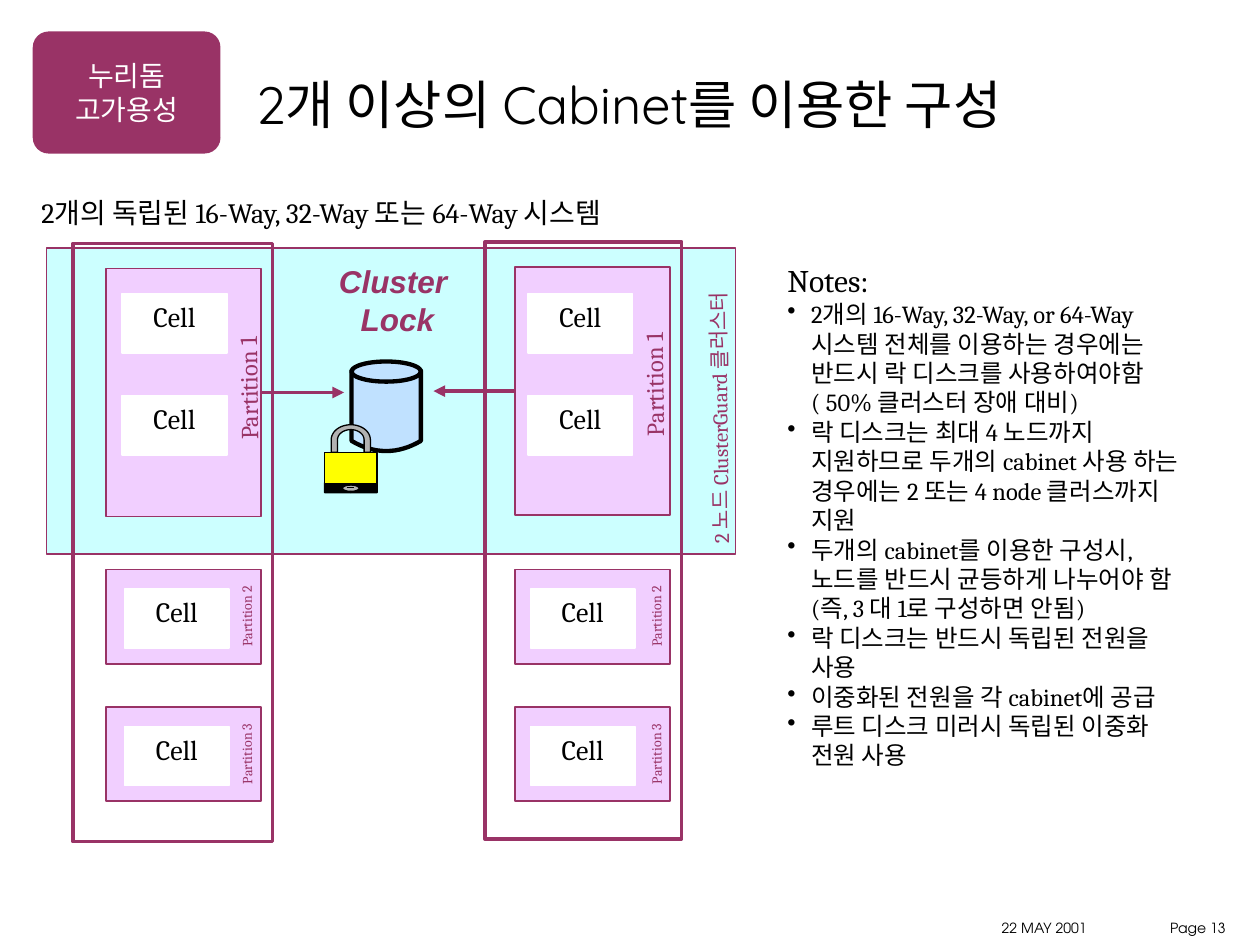
from math import cos, pi, sin

from lxml.etree import SubElement
from pptx import Presentation
from pptx.dml.color import RGBColor
from pptx.enum.shapes import MSO_CONNECTOR, MSO_SHAPE
from pptx.enum.text import MSO_ANCHOR, MSO_AUTO_SIZE, PP_ALIGN
from pptx.oxml.ns import qn
from pptx.util import Pt

THEME = {
    "plum": "993366", "lilac": "F1CFFF", "aqua": "CCFFFF", "sky": "C0E1FF",
    "gray": "B2B2B2", "yellow": "FFFF00", "black": "000000", "white": "FFFFFF",
    "head": "Quicksand", "body": "Cambria", "lock": "Arial", "foot": "TeX Gyre Adventor",
    "title": 30, "large": 18, "medium": 16, "normal": 14, "label": 12, "small": 8,
}

TITLE = "2개 이상의 Cabinet를 이용한 구성"
BADGE = "누리돔 고가용성"
SUBTITLE = "2개의 독립된 16-Way, 32-Way 또는 64-Way 시스템"
CLUSTER = "2 노드 ClusterGuard 클러스터"
NOTES = [
    "2개의 16-Way, 32-Way, or 64-Way 시스템 전체를 이용하는 경우에는 반드시 락 디스크를 사용하여야함 ( 50% 클러스터 장애 대비)",
    "락 디스크는 최대 4 노드까지 지원하므로 두개의 cabinet 사용 하는 경우에는 2 또는 4 node 클러스까지 지원",
    "두개의 cabinet를 이용한 구성시, 노드를 반드시 균등하게 나누어야 함(즉, 3 대 1로 구성하면 안됨)",
    "락 디스크는 반드시 독립된 전원을 사용",
    "이중화된 전원을 각 cabinet에 공급",
    "루트 디스크 미러시 독립된 이중화 전원 사용",
]
CABINETS = [
    {"frame": (41.8, 139, 113.8, 342), "x": 60.5, "top": 153.4, "cell_x": 69.8,
     "main_label": (141.8, 211), "label_x": 145.8, "label_w": 95, "side": 3, "tip": 196.6},
    {"frame": (277.2, 138.2, 112.3, 341.3), "x": 294.5, "top": 152.6, "cell_x": 301.7,
     "main_label": (373.7, 206.6), "label_x": 379.8, "label_w": 99.4, "side": 1, "tip": 247.7},
]
PARTITION_W, MAIN_H, SMALL_H = 88.6, 141.8, 54
MAIN_CELLS = [167.8, 226.1]
SMALL_PARTITIONS = [("Partition 2", 325.4), ("Partition 3", 403.9)]
CELL_W, CELL_H = 59.8, 33.8


def color(name):
    return RGBColor.from_string(THEME[name])


def paint(sp, fill=None, line=None, width=1):
    sp.shadow.inherit = False
    if fill:
        sp.fill.solid()
        sp.fill.fore_color.rgb = color(fill)
    else:
        sp.fill.background()
    if line:
        sp.line.color.rgb = color(line)
        sp.line.width = Pt(width)
    else:
        sp.line.fill.background()
    return sp


def block(shapes, kind, box, fill=None, line=None, width=1):
    return paint(shapes.add_shape(kind, *map(Pt, box)), fill, line, width)


def outline(shapes, points, fill, line, width):
    pts = [(Pt(x), Pt(y)) for x, y in points]
    fb = shapes.build_freeform(*pts[0], scale=1.0)
    fb.add_line_segments(pts[1:], close=True)
    return paint(fb.convert_to_shape(), fill, line, width)


def arc(cx, cy, rx, ry, start, end, steps=24):
    angles = [start + (end - start) * i / steps for i in range(steps + 1)]
    return [(cx + rx * cos(a), cy - ry * sin(a)) for a in angles]


def style(p, size, font, ink, align=PP_ALIGN.LEFT, **extra):
    p.alignment = align
    for r in p.runs:
        formats = {"size": Pt(THEME[size]), "name": THEME[font], "bold": False, **extra}
        for key, value in formats.items():
            setattr(r.font, key, value)
        r.font.color.rgb = color(ink)


def frame_text(sp, insets=(7.2, 3.6, 7.2, 3.6), anchor=MSO_ANCHOR.TOP, wrap=True):
    tf = sp.text_frame
    formats = {"auto_size": MSO_AUTO_SIZE.NONE, "word_wrap": wrap, "vertical_anchor": anchor}
    sides = ("margin_left", "margin_top", "margin_right", "margin_bottom")
    formats.update(zip(sides, map(Pt, insets)))
    for key, value in formats.items():
        setattr(tf, key, value)
    return tf


def write(sp, text, look, **layout):
    p = frame_text(sp, **layout).paragraphs[0]
    p.text = text
    style(p, *look)
    return p


def vertical_label(shapes, text, size, cx, cy, w, h):
    sp = shapes.add_textbox(*map(Pt, (cx - w / 2, cy - h / 2, w, h)))
    sp.rotation = 269.3
    write(sp, text, (size, "body", "plum"))


def connector(shapes, start, end, ink, width, arrow=False):
    c = shapes.add_connector(MSO_CONNECTOR.STRAIGHT, *map(Pt, (*start, *end)))
    c.line.color.rgb = color(ink)
    c.line.width = Pt(width)
    props = c.element.spPr
    if arrow:
        SubElement(props.find(qn("a:ln")), qn("a:tailEnd"), type="triangle")
    SubElement(props, qn("a:effectLst"))
    return c


def cell(shapes, x, y):
    sp = block(shapes, MSO_SHAPE.RECTANGLE, (x, y, CELL_W, CELL_H), "white", "white")
    write(sp, "Cell", ("medium", "body", "black", PP_ALIGN.CENTER),
          insets=(7.2, 3.6, 7.2, 11.6), anchor=MSO_ANCHOR.MIDDLE, wrap=False)


def cabinet(shapes, cab):
    rect = MSO_SHAPE.RECTANGLE
    block(shapes, rect, cab["frame"], None, "plum", 2)
    main = block(shapes, rect, (cab["x"], cab["top"], PARTITION_W, MAIN_H), "lilac", "plum")
    vertical_label(shapes, "Partition 1", "normal", *cab["main_label"], cab["label_w"], 24.5)
    for y in MAIN_CELLS:
        cell(shapes, cab["cell_x"], y)
    for name, y in SMALL_PARTITIONS:
        block(shapes, rect, (cab["x"], y, PARTITION_W, SMALL_H), "lilac", "plum")
        vertical_label(shapes, name, "small", cab["label_x"], y + 25.6, 51.1, 26.6)
        cell(shapes, cab["cell_x"] + 1.4, y + 11.2)
    mid = cab["top"] + MAIN_H / 2
    edge = cab["x"] + (PARTITION_W if cab["side"] == 3 else 0)
    c = connector(shapes, (edge, mid), (cab["tip"], mid), "plum", 2.25, arrow=True)
    c.begin_connect(main, cab["side"])


def lock_disk(shapes):
    left, top, w, low = 200.9, 211.7, 39.6, 252
    us = [i / 8 for i in range(-8, 9)]
    curve = [(left + w / 2 * (1 + u), low + 5.8 * (1 - u * u)) for u in us]
    outline(shapes, [(left, top), *curve, (left + w, top)], "sky", "black", 2.47)
    block(shapes, MSO_SHAPE.OVAL, (left, 206.6, w, 11.5), "sky", "black", 2.47)
    sp = shapes.add_textbox(*map(Pt, (186.5, 146.2, 76.3, 50.4)))
    p = write(sp, "Cluster\v Lock", ("large", "lock", "plum", PP_ALIGN.CENTER),
              anchor=MSO_ANCHOR.MIDDLE, wrap=False)
    style(p, "large", "lock", "plum", PP_ALIGN.CENTER, bold=True, italic=True)


def padlock(shapes):
    cx, half, base = 200.5, 15, 258.5
    outer = arc(cx, 251.3, 11.2, 8.6, 0, pi)
    inner = arc(cx, 251.3, 7.6, 5.8, pi, 0)
    shackle = [(cx + 11.2, base), *outer, (cx - 11.2, base),
               (cx - 7.6, base), *inner, (cx + 7.6, base)]
    outline(shapes, shackle, "gray", "black", 0.75)
    block(shapes, MSO_SHAPE.RECTANGLE, (cx - 5.4, 276.5, 10.8, 4.3), "gray", "gray", 0.75)
    for side in (-1, 1):
        edge = cx + side * half
        hole = arc(cx, 279, side * 4.7, 1.8, pi / 2, -pi / 2)
        plate = [(cx, 275.8), *hole, (cx, 281.5), (edge, 281.5), (edge, 275.8)]
        outline(shapes, plate, "black", "black", 0.75)
    block(shapes, MSO_SHAPE.RECTANGLE, (cx - half, base, 2 * half, 18), "yellow", "black", 0.75)
    connector(shapes, (198, 278.6), (202.3, 278.6), "black", 0.75)


def notes(shapes):
    sp = shapes.add_textbox(*map(Pt, (442.8, 136.1, 247.7, 334.1)))
    tf = frame_text(sp, (7.2, 3.6, 7.2, 20.5), MSO_ANCHOR.MIDDLE)
    for i, text in enumerate(["Notes:", *NOTES]):
        p = tf.add_paragraph() if i else tf.paragraphs[0]
        p.text = text
        style(p, "normal" if i else "large", "body", "black")
        props = p._p.get_or_add_pPr()
        props.set("marL", str(Pt(13.7)))
        props.set("indent", str(-Pt(13.7)))
        if i:
            SubElement(SubElement(props, qn("a:buClr")), qn("a:srgbClr"), val=THEME["black"])
            SubElement(props, qn("a:buChar"), char="•")


def main():
    prs = Presentation()
    prs.slide_width, prs.slide_height = Pt(720), Pt(540)
    s = prs.slides.add_slide(prs.slide_layouts[5])
    shapes = s.shapes
    title = shapes.title
    title.left, title.top, title.width, title.height = map(Pt, (124.6, 41, 469.4, 48.2))
    write(title, TITLE, ("title", "head", "black", PP_ALIGN.CENTER), insets=(0, 0, 0, 0))
    badge = block(shapes, MSO_SHAPE.ROUNDED_RECTANGLE, (18.7, 18, 107.3, 69.8), "plum")
    badge.adjustments[0] = 0.13
    write(badge, BADGE, ("medium", "head", "white", PP_ALIGN.CENTER), anchor=MSO_ANCHOR.MIDDLE)
    texts = [
        (SUBTITLE, (16.6, 108, 385.2, 26.6), ("medium", "body", "black"), {"wrap": False}),
        ("22 MAY 2001", (572.4, 525.6, 72.7, 9.4), ("small", "foot", "black"),
         {"insets": (0, 0, 0, 0), "anchor": MSO_ANCHOR.MIDDLE}),
        ("Page 13", (660.2, 525.6, 40.3, 11.5), ("small", "foot", "black", PP_ALIGN.RIGHT),
         {"insets": (0, 0, 0, 0)}),
    ]
    for text, box, look, layout in texts:
        write(shapes.add_textbox(*map(Pt, box)), text, look, **layout)
    block(shapes, MSO_SHAPE.RECTANGLE, (26.6, 141.8, 393.8, 175), "aqua", "plum")
    for cab in CABINETS:
        cabinet(shapes, cab)
    vertical_label(shapes, CLUSTER, "label", 410.8, 216.7, 202.3, 21.6)
    for draw in (lock_disk, padlock):
        draw(shapes.add_group_shape().shapes)
    notes(shapes)
    prs.save("out.pptx")


if __name__ == "__main__":
    main()
